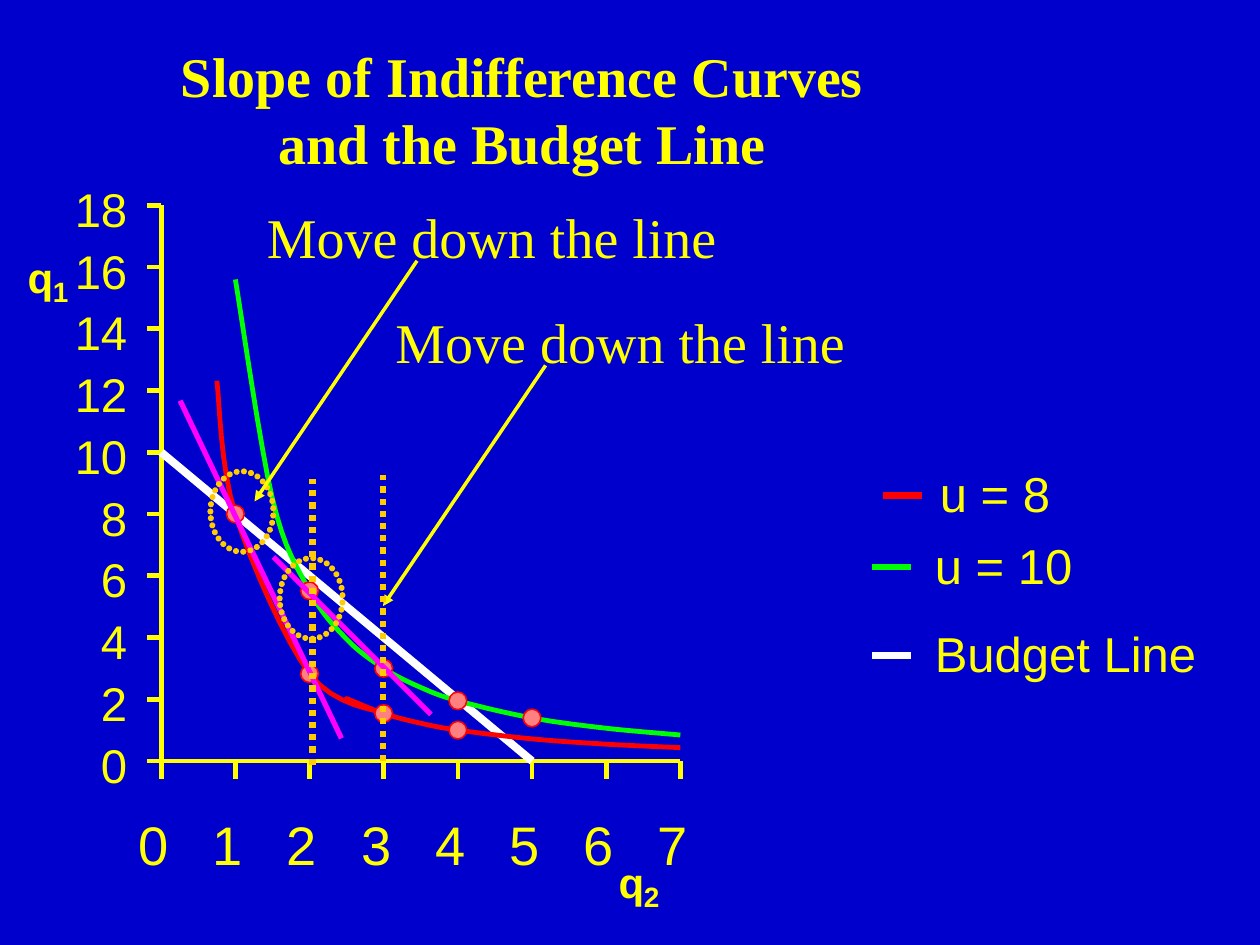
from lxml import etree
from pptx import Presentation
from pptx.dml.color import RGBColor
from pptx.enum import dml, shapes, text
from pptx.oxml.ns import qn
from pptx.util import Inches, Pt

COLORS = {
    "background": "0000CC", "yellow": "FFFF00", "red": "FF0000", "green": "00FF00",
    "white": "FFFFFF", "magenta": "FF00FF", "gold": "FFCC00", "pink": "FF8080",
}

# Plot area in inches; q2 runs to 7 along x, q1 to 18 along y
LEFT, RIGHT, TOP, BOTTOM = 1.28, 5.4, 1.63, 6.04
MAX_Q2, MAX_Q1 = 7, 18
UNIT_X, UNIT_Y = (RIGHT - LEFT) / MAX_Q2, (BOTTOM - TOP) / MAX_Q1
BUNDLE_SIZE = 0.14
CURVE_STEPS = 8


def write(frame, content, size, font="Arial", bold=False, align=text.PP_ALIGN.LEFT, margins=(0, 0)):
    frame.word_wrap = False
    frame.auto_size = text.MSO_AUTO_SIZE.NONE
    frame.vertical_anchor = text.MSO_ANCHOR.TOP
    frame.margin_left = frame.margin_right = Inches(margins[0])
    frame.margin_top = frame.margin_bottom = Inches(margins[1])
    frame.text = content
    for paragraph in frame.paragraphs:
        paragraph.alignment = align
        paragraph.space_before = Pt(0)
        paragraph.font.name = font
        paragraph.font.size = Pt(size)
        paragraph.font.bold = bold
        paragraph.font.color.rgb = RGBColor.from_string(COLORS["yellow"])


def draw_line(start, end, color, width, dash=None, arrow=False):
    connector = slide.shapes.add_connector(
        shapes.MSO_CONNECTOR.STRAIGHT, *[Inches(v) for v in (*start, *end)])
    connector.line.color.rgb = RGBColor.from_string(COLORS[color])
    connector.line.width = Pt(width)
    if dash:
        connector.line.dash_style = dash
    if arrow:
        etree.SubElement(connector.line._get_or_add_ln(), qn("a:tailEnd"), type="triangle")
    etree.SubElement(connector._element.spPr, qn("a:effectLst"))


prs = Presentation()
prs.slide_width, prs.slide_height = Inches(10), Inches(7.5)
slide = prs.slides.add_slide(prs.slide_layouts[5])
slide.background.fill.solid()
slide.background.fill.fore_color.rgb = RGBColor.from_string(COLORS["background"])

title = slide.shapes.title
title.left, title.top, title.width, title.height = [Inches(v) for v in (1.43, 0.33, 5.43, 1.07)]
write(title.text_frame, "Slope of Indifference Curves\nand the Budget Line", 32,
      font="Times New Roman", bold=True, align=text.PP_ALIGN.CENTER)

# Labels are gathered as: content, left, top, width, height, format
labels = []

# Axes with ticks and numbers
draw_line((LEFT, TOP), (LEFT, BOTTOM), "yellow", 2.75)
draw_line((LEFT, BOTTOM), (RIGHT, BOTTOM), "yellow", 2.75)
for q1 in range(0, MAX_Q1 + 1, 2):
    y = BOTTOM - q1 * UNIT_Y
    draw_line((LEFT - 0.11, y), (LEFT, y), "yellow", 2.75)
    labels.append((str(q1), 0.59, y - 0.2, 0.42, 0.45, {"size": 27, "align": text.PP_ALIGN.RIGHT}))
for q2 in range(MAX_Q2 + 1):
    x = LEFT + q2 * UNIT_X
    draw_line((x, BOTTOM + 0.14), (x, BOTTOM), "yellow", 2.75)
    labels.append((str(q2), x - 0.18, 6.44, 0.24, 0.52, {"size": 31}))

# Budget line: q1 = 10 - 2 * q2
draw_line((LEFT, BOTTOM - 10 * UNIT_Y), (LEFT + 5 * UNIT_X, BOTTOM), "white", 4.5)

# Indifference curves: q1 = scale / q2 ** 1.5, smoothed through the listed q2 values
# (the red one doubles back to 2.5), with a bundle marked at some whole q2
indifference_curves = [
    ("red", 8, [0.75, 1, 2, 3, 2.5, 3, 3.5, 4, 5, 6, 7], [1, 2, 3, 4]),
    ("green", 15.6, [1, 1.5, 2, 2.5, 3, 3.5, 4, 5, 6, 7], [2, 3, 4, 5]),
]
for color, scale, knot_values, bundle_values in indifference_curves:
    knots = [(LEFT + q2 * UNIT_X, BOTTOM - scale / q2 ** 1.5 * UNIT_Y) for q2 in knot_values]

    # Catmull-Rom spline, with both end knots doubled
    padded = [knots[0], *knots, knots[-1]]
    points = []
    for neighbours in zip(padded, padded[1:], padded[2:], padded[3:]):
        for step in range(CURVE_STEPS):
            t = step / CURVE_STEPS
            points.append([
                Inches(b + t * (c - a) / 2 + t ** 2 * (2 * a - 5 * b + 4 * c - d) / 2
                       + t ** 3 * (3 * b - a - 3 * c + d) / 2)
                for a, b, c, d in zip(*neighbours)])
    points.append([Inches(v) for v in knots[-1]])
    builder = slide.shapes.build_freeform(*points[0])
    builder.add_line_segments(points[1:], close=False)
    curve = builder.convert_to_shape()
    curve.shadow.inherit = False
    curve.fill.background()
    curve.line.color.rgb = RGBColor.from_string(COLORS[color])
    curve.line.width = Pt(2.75)

    for q2 in bundle_values:
        x, y = knots[knot_values.index(q2)]
        bundle = slide.shapes.add_shape(
            shapes.MSO_SHAPE.OVAL, Inches(x - BUNDLE_SIZE / 2), Inches(y - BUNDLE_SIZE / 2),
            Inches(BUNDLE_SIZE), Inches(BUNDLE_SIZE))
        bundle.shadow.inherit = False
        bundle.fill.solid()
        bundle.fill.fore_color.rgb = RGBColor.from_string(COLORS["pink"])
        bundle.line.color.rgb = RGBColor.from_string(COLORS["red"])
        bundle.line.width = Pt(0.88)

# Slopes of the two curves
draw_line((1.43, 3.18), (2.71, 5.86), "magenta", 3)
draw_line((2.17, 4.42), (3.42, 5.67), "magenta", 3)

# Legend: key, then its text
legend = [
    ("u = 8", "red", 7.01, 7.46, 3.93, 0.88),
    ("u = 10", "green", 6.92, 7.42, 4.5, 1.09),
    ("Budget Line", "white", 6.92, 7.42, 5.2, 2.07),
]
for entry, color, key_left, entry_left, y, width in legend:
    draw_line((key_left, y), (key_left + 0.31, y), color, 4)
    labels.append((entry, entry_left, y - 0.25, width, 0.47, {"size": 28}))

# Axis names with their subscripts
for subscript, x, y in [("2", 4.91, 6.8), ("1", 0.22, 2)]:
    labels.append(("q", x, y, 0.2, 0.4, {"size": 24, "bold": True}))
    labels.append((subscript, x + 0.2, y + 0.18, 0.12, 0.27, {"size": 16, "bold": True}))

# Circled bundles
for x, y in [(1.67, 3.74), (2.22, 4.43)]:
    circle = slide.shapes.add_shape(
        shapes.MSO_SHAPE.OVAL, Inches(x), Inches(y), Inches(0.5), Inches(0.64))
    circle.shadow.inherit = False
    circle.fill.background()
    circle.line.color.rgb = RGBColor.from_string(COLORS["gold"])
    circle.line.width = Pt(3.5)
    outline = circle.line._get_or_add_ln()
    outline.set("cap", "rnd")
    dots = etree.SubElement(outline, qn("a:custDash"))
    etree.SubElement(dots, qn("a:ds"), d="100000", sp="20000")

# Callouts: each arrow starts under its text
for x, y in [(2.02, 1.56), (3.04, 2.39)]:
    labels.append(("Move down the line", x, y, 3.77, 0.64,
                   {"size": 32, "font": "Times New Roman", "margins": (0.1, 0.05)}))
    draw_line((x + 1.29, y + 0.51), (x, y + 2.42), "yellow", 2, arrow=True)

# Dotted guides near q2 = 2 and q2 = 3
for x, y in [(2.48, 6.07), (3.04, 6.04)]:
    draw_line((x, y), (x, y - 2.27), "gold", 3.5, dash=dml.MSO_LINE.ROUND_DOT)

for content, *place, style in labels:
    label = slide.shapes.add_textbox(*[Inches(v) for v in place])
    write(label.text_frame, content, **style)

prs.save("out.pptx")
